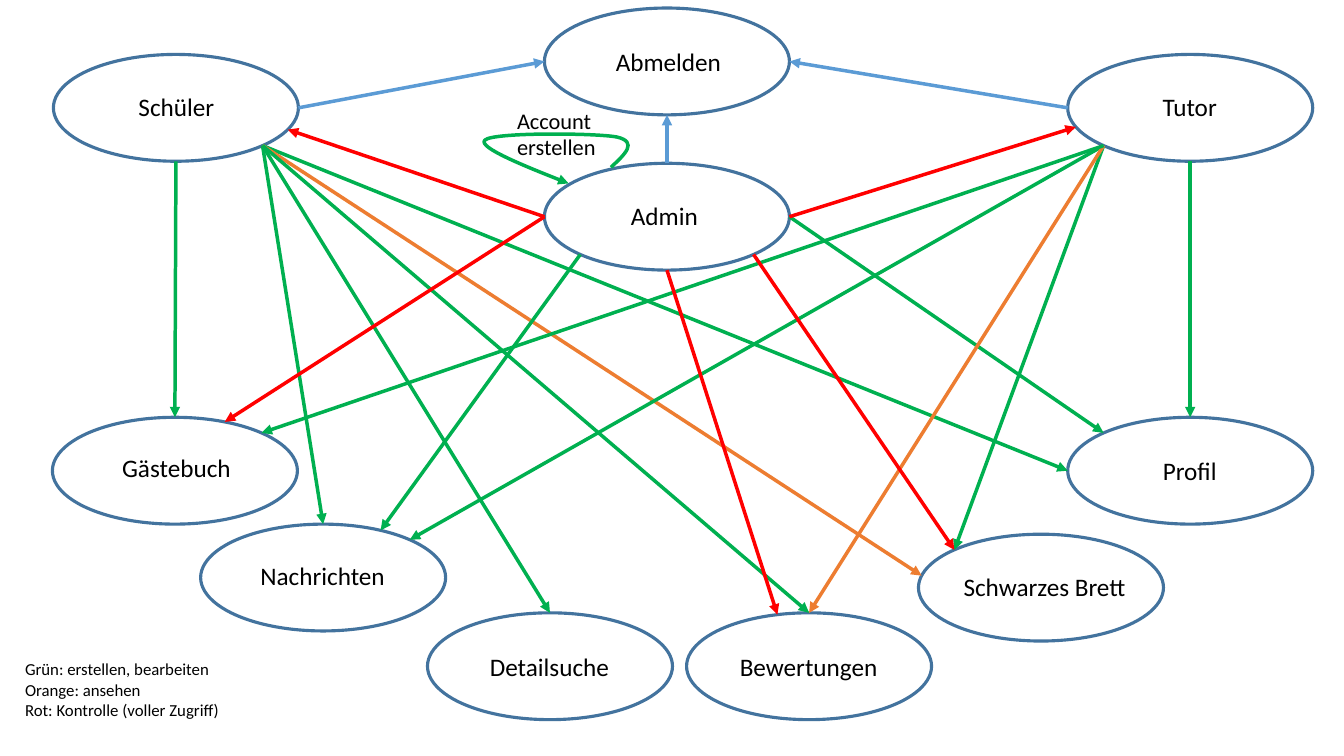
"""Build a slide that maps which role may use which function of a tutoring portal."""
from math import cos, radians, sin

from lxml import etree
from pptx import Presentation
from pptx.dml.color import RGBColor
from pptx.enum.shapes import MSO_CONNECTOR, MSO_SHAPE
from pptx.enum.text import MSO_AUTO_SIZE, PP_ALIGN
from pptx.oxml.ns import qn
from pptx.util import Inches, Pt

STRAIGHT = MSO_CONNECTOR.STRAIGHT
ELLIPSE = MSO_SHAPE.OVAL
FIT_TEXT = MSO_AUTO_SIZE.SHAPE_TO_FIT_TEXT
LEFT_ALIGNED, CENTERED = PP_ALIGN.LEFT, PP_ALIGN.CENTER

THEME = {
    "font": "Calibri", "text": "000000", "fill": "FFFFFF", "outline": "43739E",
    "blue": "5B9BD5", "green": "00B050", "orange": "ED7D31", "red": "FF0000",
    "label size": 18, "loop size": 16, "legend size": 12,
    "outline width": 2.25, "arrow width": 2.5,
}
SLIDE_SIZE = (13.33, 7.5)
NODE_WIDTH, NODE_HEIGHT = 2.43, 1.06
LABEL_WIDTH, LABEL_HEIGHT = 2.2, 0.4

# Name: (ellipse left, ellipse top, label left, label top)
NODES = {
    "Schüler": (0.53, 0.54, 0.65, 0.86),
    "Admin": (5.4, 1.62, 5.49, 1.94),
    "Tutor": (10.59, 0.54, 10.7, 0.86),
    "Nachrichten": (1.99, 5.2, 2.1, 5.51),
    "Bewertungen": (6.81, 6.08, 6.92, 6.41),
    "Schwarzes Brett": (9.11, 5.3, 9.26, 5.62),
    "Gästebuch": (0.52, 4.14, 0.65, 4.44),
    "Detailsuche": (4.24, 6.08, 4.35, 6.41),
    "Abmelden": (5.4, 0.08, 5.53, 0.41),
    "Profil": (10.59, 4.14, 10.7, 4.47),
}
RIGHT, UPPER_RIGHT, TOP, UPPER_LEFT = 0, 45, 90, 135
LEFT, LOWER_LEFT, BOTTOM, LOWER_RIGHT = 180, 225, 270, 315
ARROWS = [
    ("blue", "Schüler", RIGHT, "Abmelden", LEFT),
    ("green", "Admin", RIGHT, "Profil", UPPER_LEFT),
    ("green", "Schüler", LOWER_RIGHT, "Nachrichten", TOP),
    ("green", "Schüler", BOTTOM, "Gästebuch", TOP),
    ("blue", "Tutor", LEFT, "Abmelden", RIGHT),
    ("blue", "Admin", TOP, "Abmelden", BOTTOM),
    ("green", "Schüler", LOWER_RIGHT, "Detailsuche", TOP),
    ("green", "Tutor", BOTTOM, "Profil", TOP),
    ("green", "Schüler", LOWER_RIGHT, "Profil", LEFT),
    ("orange", "Schüler", LOWER_RIGHT, "Schwarzes Brett", 167),
    ("green", "Schüler", LOWER_RIGHT, "Bewertungen", TOP),
    ("green", "Tutor", LOWER_LEFT, "Schwarzes Brett", UPPER_LEFT),
    ("green", "Tutor", LOWER_LEFT, "Nachrichten", UPPER_RIGHT),
    ("orange", "Tutor", LOWER_LEFT, "Bewertungen", TOP),
    ("green", "Tutor", LOWER_LEFT, "Gästebuch", UPPER_RIGHT),
    ("red", "Admin", LEFT, "Gästebuch", 66),
    ("red", "Admin", BOTTOM, "Bewertungen", 105),
    ("red", "Admin", LOWER_RIGHT, "Schwarzes Brett", UPPER_LEFT),
    ("red", "Admin", LEFT, "Schüler", 336),
    ("red", "Admin", RIGHT, "Tutor", 201),
    ("green", "Admin", LOWER_LEFT, "Nachrichten", 62),
]
LOOP_POINTS = [
    (6.06, 1.66), (6.2, 1.53), (6.33, 1.41), (6.12, 1.36), (5.92, 1.32),
    (4.89, 1.31), (4.81, 1.39), (4.73, 1.46), (5.31, 1.69), (5.64, 1.82),
]
LOOP_LABEL = (["Account erstellen"], (5.03, 1.01, 1.29, 0.64))
LEGEND = (
    ["Grün: erstellen, bearbeiten", "Orange: ansehen", "Rot: Kontrolle (voller Zugriff)"],
    (0.15, 6.49, 2.46, 0.71),
)


def color(name):
    """Return the theme colour of that name."""
    return RGBColor.from_string(THEME[name])


def inches(values):
    """Convert a sequence of inches to lengths."""
    return [Inches(value) for value in values]


def rim_point(name, angle):
    """Return the point on a node's rim at an angle, counted from the right."""
    left, top = NODES[name][:2]
    return (left + NODE_WIDTH / 2 * (1 + cos(radians(angle))),
            top + NODE_HEIGHT / 2 * (1 - sin(radians(angle))))


def style_line(line, color_name, width_name):
    """Set the colour and width of a line."""
    line.color.rgb = color(color_name)
    line.width = Pt(THEME[width_name])


def add_arrowhead(line):
    """Put a triangle at the end of a line."""
    etree.SubElement(line._get_or_add_ln(), qn("a:tailEnd"), type="triangle")


def add_node(slide, name):
    """Draw the ellipse of a node and its label."""
    left, top, label_left, label_top = NODES[name]
    shape = slide.shapes.add_shape(ELLIPSE, *inches((left, top, NODE_WIDTH, NODE_HEIGHT)))
    shape.shadow.inherit = False
    shape.fill.solid()
    shape.fill.fore_color.rgb = color("fill")
    style_line(shape.line, "outline", "outline width")
    add_text(slide, [name], (label_left, label_top, LABEL_WIDTH, LABEL_HEIGHT),
             "label size", CENTERED)


def add_text(slide, lines, box, size_name, alignment=LEFT_ALIGNED):
    """Add a wrapping text box with one paragraph a line."""
    frame = slide.shapes.add_textbox(*inches(box)).text_frame
    frame.text = "\n".join(lines)
    frame.word_wrap = True
    frame.auto_size = FIT_TEXT
    for paragraph in frame.paragraphs:
        paragraph.alignment = alignment
        font_format = {"name": THEME["font"], "size": Pt(THEME[size_name])}
        for attribute, value in font_format.items():
            setattr(paragraph.runs[0].font, attribute, value)
        paragraph.runs[0].font.color.rgb = color("text")


def add_arrow(slide, color_name, source, source_angle, target, target_angle):
    """Draw an arrow between the rims of two nodes."""
    ends = rim_point(source, source_angle) + rim_point(target, target_angle)
    connector = slide.shapes.add_connector(STRAIGHT, *inches(ends))
    style_line(connector.line, color_name, "arrow width")
    add_arrowhead(connector.line)
    etree.SubElement(connector._element.spPr, qn("a:effectLst"))


def add_loop(slide):
    """Draw the curved arrow that leads from the admin back to the admin."""
    points = [inches(point) for point in LOOP_POINTS]
    builder = slide.shapes.build_freeform(*points[0], scale=1.0)
    builder.add_line_segments(points[1:], close=False)
    shape = builder.convert_to_shape()
    segments = list(shape._element.iter(qn("a:lnTo")))
    for start in range(0, len(segments), 3):
        curve = etree.Element(qn("a:cubicBezTo"))
        segments[start].addprevious(curve)
        for segment in segments[start:start + 3]:
            curve.append(segment[0])
            segment.getparent().remove(segment)
    shape.shadow.inherit = False
    shape.fill.background()
    style_line(shape.line, "green", "arrow width")
    add_arrowhead(shape.line)


def main():
    """Assemble and save the slide."""
    presentation = Presentation()
    presentation.slide_width, presentation.slide_height = inches(SLIDE_SIZE)
    slide = presentation.slides.add_slide(presentation.slide_layouts[6])
    for name in NODES:
        add_node(slide, name)
    for arrow in ARROWS:
        add_arrow(slide, *arrow)
    add_text(slide, *LEGEND, "legend size")
    add_loop(slide)
    add_text(slide, *LOOP_LABEL, "loop size")
    presentation.save("out.pptx")


main()
